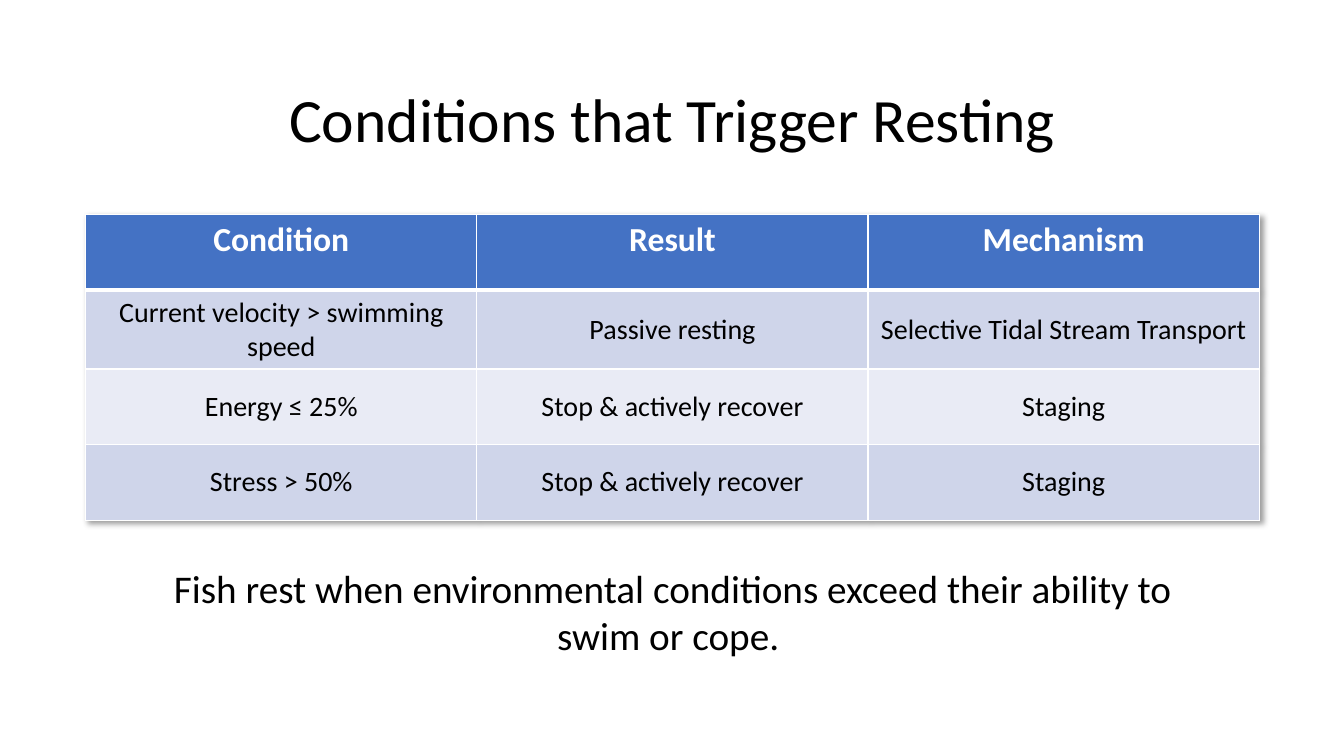
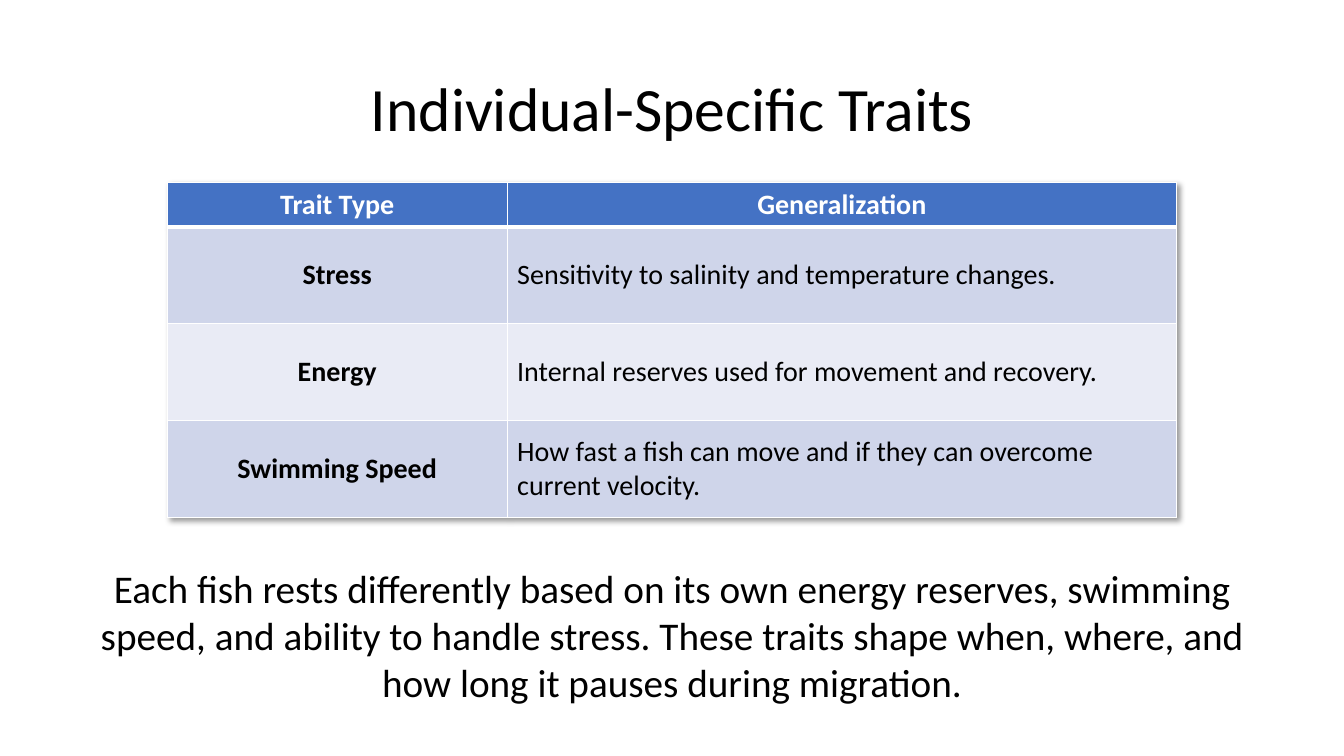
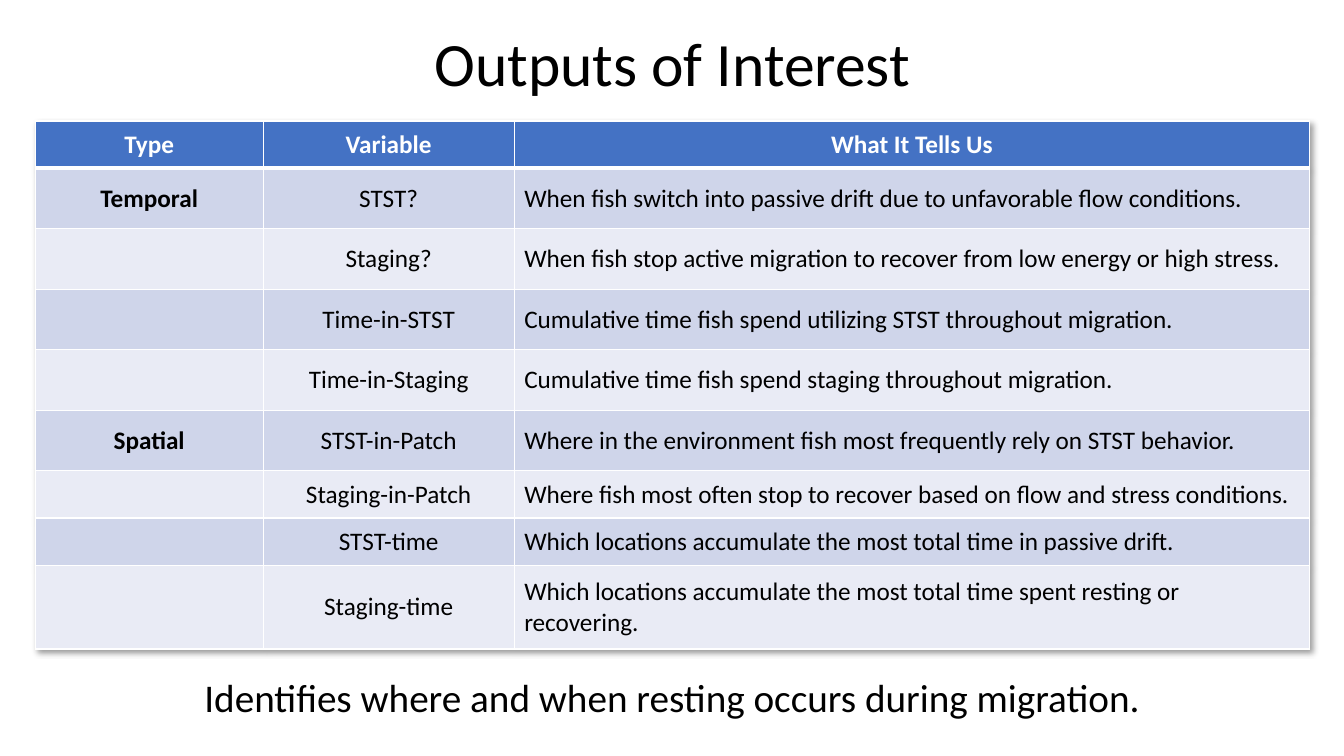
from lxml import etree
from pptx import Presentation
from pptx.dml.color import RGBColor
from pptx.enum.text import MSO_ANCHOR as Anchor, MSO_AUTO_SIZE as AutoSize, PP_ALIGN as Align
from pptx.oxml import parse_xml
from pptx.oxml.ns import nsdecls, qn
from pptx.util import Inches, Pt

FONT = "Calibri"
BLACK, WHITE = "000000", "FFFFFF"
HEADER_FILL = "4472C4"
BAND_FILLS = ("CFD5EA", "E9EBF5")
THIN, THICK = 1, 3
TITLE_SIZE, CAPTION_SIZE = 44, 28
CENTER, LEFT = Align.CENTER, Align.LEFT
TITLE_LEFT, TITLE_WIDTH, TITLE_HEIGHT = 0.92, 11.5, 1.45

SLIDES = [
    {
        "title": "Conditions that Trigger Resting",
        "title_top": 0.49,
        "table": {
            "corner": (0.85, 2.13),
            "columns": [3.88] * 3,
            "heights": [0.75] * 4,
            "sizes": (24, 20),
            "header_anchor": Anchor.TOP,
            "bold_first": False,
            "aligns": [CENTER] * 3,
            "rows": [
                ["Condition", "Result", "Mechanism"],
                ["Current velocity > swimming speed", "Passive resting",
                 "Selective Tidal Stream Transport"],
                ["Energy ≤ 25%", "Stop & actively recover", "Staging"],
                ["Stress > 50%", "Stop & actively recover", "Staging"],
            ],
        },
        "caption": "Fish rest when environmental conditions exceed their ability to swim or cope. ",
        "caption_box": (1.53, 5.55, 10.28, 1.04),
    },
    {
        "title": "Individual-Specific Traits",
        "title_top": 0.38,
        "table": {
            "corner": (1.66, 1.81),
            "columns": [3.37, 6.64],
            "heights": [0.44] + [0.96] * 3,
            "sizes": (20, 20),
            "header_anchor": Anchor.MIDDLE,
            "bold_first": True,
            "aligns": [CENTER, LEFT],
            "rows": [
                ["Trait Type", "Generalization"],
                ["Stress", "Sensitivity to salinity and temperature changes."],
                ["Energy", "Internal reserves used for movement and recovery."],
                ["Swimming Speed",
                 "How fast a fish can move and if they can overcome current velocity."],
            ],
        },
        "caption": "Each fish rests differently based on its own energy reserves, swimming speed, "
                   "and ability to handle stress. These traits shape when, where, and how long "
                   "it pauses during migration.",
        "caption_box": (0.55, 5.55, 12.23, 1.51),
    },
    {
        "title": "Outputs of Interest",
        "title_top": -0.06,
        "table": {
            "corner": (0.35, 1.2),
            "columns": [2.26, 2.49, 7.89],
            "heights": [0.47] + [0.6] * 5 + [0.47] * 2 + [0.83],
            "sizes": (18, 18),
            "header_anchor": Anchor.MIDDLE,
            "bold_first": True,
            "aligns": [CENTER, CENTER, LEFT],
            "rows": [
                ["Type", "Variable", "What It Tells Us"],
                ["Temporal", "STST?",
                 "When fish switch into passive drift due to unfavorable flow conditions."],
                ["", "Staging?",
                 "When fish stop active migration to recover from low energy or high stress."],
                ["", "Time-in-STST",
                 "Cumulative time fish spend utilizing STST throughout migration."],
                ["", "Time-in-Staging",
                 "Cumulative time fish spend staging throughout migration."],
                ["Spatial", "STST-in-Patch",
                 "Where in the environment fish most frequently rely on STST behavior."],
                ["", "Staging-in-Patch",
                 "Where fish most often stop to recover based on flow and stress conditions."],
                ["", "STST-time",
                 "Which locations accumulate the most total time in passive drift."],
                ["", "Staging-time",
                 "Which locations accumulate the most total time spent resting or recovering."],
            ],
        },
        "caption": "Identifies where and when resting occurs during migration.",
        "caption_box": (0.55, 6.63, 12.23, 0.57),
    },
]


def color(value):
    """Turn a hex string into a colour."""
    return RGBColor.from_string(value)


def apply(target, values):
    """Set each attribute in a dict on an object."""
    for name, value in values.items():
        setattr(target, name, value)


def write(frame, text, size, align=CENTER, ink=BLACK, bold=False, spacing=1.0):
    """Write one formatted paragraph in a text frame."""
    paragraph = frame.paragraphs[0]
    apply(paragraph, {"alignment": align, "line_spacing": spacing})
    if text:
        run = paragraph.add_run()
        run.text = text
        apply(run.font, {"name": FONT, "size": Pt(size), "bold": bold})
        run.font.color.rgb = color(ink)


def add_title(slide, text, top):
    """Place and format the slide title."""
    title = slide.shapes.title
    apply(title, {"left": Inches(TITLE_LEFT), "top": Inches(top),
                  "width": Inches(TITLE_WIDTH), "height": Inches(TITLE_HEIGHT)})
    apply(title.text_frame, {"vertical_anchor": Anchor.MIDDLE, "word_wrap": True,
                             "auto_size": AutoSize.NONE})
    write(title.text_frame, text, TITLE_SIZE, spacing=0.9)


def add_caption(slide, text, box):
    """Add the closing statement in its box."""
    frame = slide.shapes.add_textbox(*map(Inches, box)).text_frame
    apply(frame, {"word_wrap": True, "auto_size": AutoSize.SHAPE_TO_FIT_TEXT})
    write(frame, text, CAPTION_SIZE)


def set_borders(cell, widths):
    """Give a cell white borders with a width in points per side."""
    properties = cell._tc.get_or_add_tcPr()
    for position, (side, width) in enumerate(widths.items()):
        line = etree.Element(qn(f"a:ln{side}"), w=str(Pt(width)))
        fill = etree.SubElement(line, qn("a:solidFill"))
        etree.SubElement(fill, qn("a:srgbClr"), val=WHITE)
        properties.insert(position, line)


def add_shadow(table):
    """Cast a soft shadow to the lower right of a table."""
    table._tbl.tblPr.insert(0, parse_xml(
        f'<a:effectLst {nsdecls("a")}>'
        '<a:outerShdw blurRad="50800" dist="38100" dir="2700000" algn="tl" rotWithShape="0">'
        '<a:srgbClr val="000000"><a:alpha val="40000"/></a:srgbClr>'
        '</a:outerShdw></a:effectLst>'))


def add_banded_table(slide, layout):
    """Add a table with a header row and banded body rows."""
    rows, columns, heights = layout["rows"], layout["columns"], layout["heights"]
    box = (*layout["corner"], sum(columns), sum(heights))
    table = slide.shapes.add_table(len(rows), len(columns), *map(Inches, box)).table
    add_shadow(table)
    for column, width in zip(table.columns, columns):
        column.width = Inches(width)
    for row, height in zip(table.rows, heights):
        row.height = Inches(height)
    header_size, body_size = layout["sizes"]
    for row_index, texts in enumerate(rows):
        header = row_index == 0
        for column_index, text in enumerate(texts):
            cell = table.cell(row_index, column_index)
            cell.vertical_anchor = layout["header_anchor"] if header else Anchor.MIDDLE
            cell.fill.solid()
            cell.fill.fore_color.rgb = color(
                HEADER_FILL if header else BAND_FILLS[(row_index - 1) % 2])
            set_borders(cell, {"L": THIN, "R": THIN, "T": THICK if row_index == 1 else THIN,
                               "B": THICK if header else THIN})
            write(cell.text_frame, text,
                  size=header_size if header else body_size,
                  align=CENTER if header else layout["aligns"][column_index],
                  ink=WHITE if header else BLACK,
                  bold=header or (layout["bold_first"] and column_index == 0))


def add_table_slide(presentation, content):
    """Add a slide with a title, a table and a closing statement."""
    slide = presentation.slides.add_slide(presentation.slide_layouts[5])
    add_title(slide, content["title"], content["title_top"])
    add_banded_table(slide, content["table"])
    add_caption(slide, content["caption"], content["caption_box"])


def main():
    """Build and save the presentation."""
    presentation = Presentation()
    apply(presentation, {"slide_width": Inches(13.33), "slide_height": Inches(7.5)})
    for content in SLIDES:
        add_table_slide(presentation, content)
    presentation.save("out.pptx")


if __name__ == "__main__":
    main()
